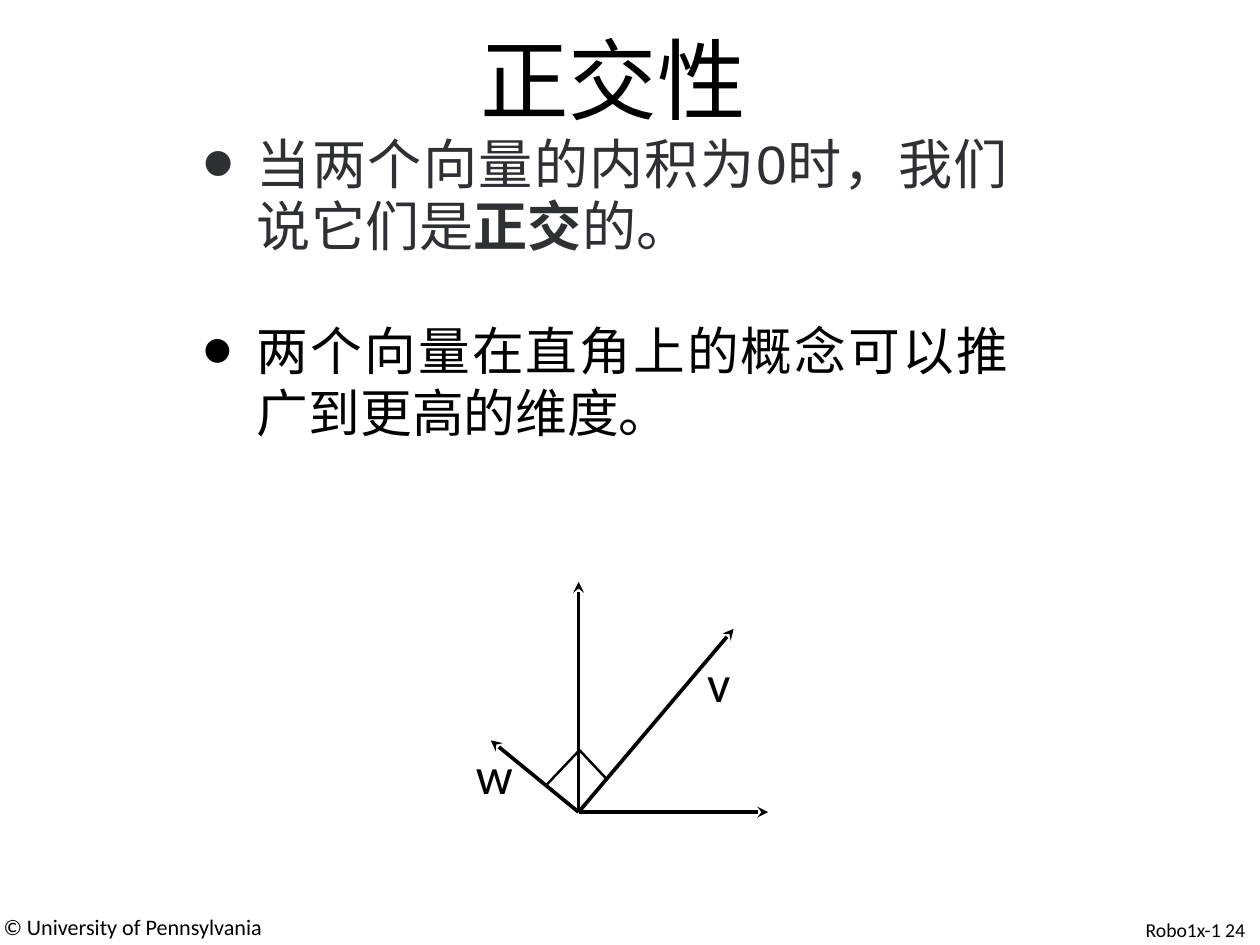
from pptx import Presentation
from pptx.dml.color import RGBColor
from pptx.enum.shapes import MSO_CONNECTOR
from pptx.enum.text import MSO_ANCHOR, MSO_AUTO_SIZE, PP_ALIGN
from pptx.oxml.ns import qn
from pptx.util import Inches, Pt
from lxml.etree import SubElement

THEME = {
    "black": RGBColor(0x00, 0x00, 0x00),
    "grey": RGBColor(0x2E, 0x30, 0x33),
    "title": Pt(72), "lead": Pt(44), "body": Pt(42),
    "footer": Pt(18), "number": Pt(16),
    "arrow": Pt(3), "mark": Pt(2),
}


def set_frame(sp, box):
    """Place a text shape and clear its margins."""
    sp.left, sp.top, sp.width, sp.height = map(Inches, box)
    tf = sp.text_frame
    frame = {"margin_left": 0, "margin_top": 0, "margin_right": 0, "margin_bottom": 0,
             "word_wrap": True, "auto_size": MSO_AUTO_SIZE.NONE,
             "vertical_anchor": MSO_ANCHOR.TOP}
    for name, value in frame.items():
        setattr(tf, name, value)
    return tf


def add_run(p, text, size, color="black", font="Calibri", bold=False):
    r = p.add_run()
    r.text = text
    for name, value in {"size": THEME[size], "name": font, "bold": bold}.items():
        setattr(r.font, name, value)
    r.font.color.rgb = THEME[color]


prs = Presentation()
prs.slide_width, prs.slide_height = Inches(14.22), Inches(10.67)
s = prs.slides.add_slide(prs.slide_layouts[1])

# Title
p = set_frame(s.shapes.title, (1.77, 0.28, 10.3, 1.21)).paragraphs[0]
p.alignment, p.line_spacing = PP_ALIGN.CENTER, Pt(86.2)
add_run(p, "正交性", "title")

# Bullet list
tf = set_frame(s.placeholders[1], (2.26, 1.5, 9.12, 3.51))
bullets = [
    [("当两个向量的内积为0时，我们说它们是", "lead", "grey", "Arial"),
     ("正交", "lead", "grey", "Arial", True),
     ("的。", "lead", "grey", "Arial")],
    [("两个向量在直角上的概念可以推广到更高的维度。", "body")],
]
for i, runs in enumerate(bullets):
    p = tf.add_paragraph() if i else tf.paragraphs[0]
    p.alignment, p.line_spacing = PP_ALIGN.JUSTIFY, Pt(50.4)
    p.space_before = Pt(50.4 * i)
    pPr = p._p.get_or_add_pPr()
    pPr.set("marL", str(Inches(0.64)))
    pPr.set("indent", str(-Inches(0.62)))
    SubElement(pPr, qn("a:buSzPct")).set("val", "170000")
    SubElement(pPr, qn("a:buChar")).set("char", "•")
    for run in runs:
        add_run(p, *run)

# Axes, vectors v and w, and right-angle mark
origin = (6.53, 9.17)
corner = (6.54, 8.47)
lines = [
    (origin, (6.53, 6.57), "arrow"),
    (origin, (8.67, 9.17), "arrow"),
    (origin, (5.54, 8.36), "arrow"),
    (origin, (8.28, 7.1), "arrow"),
    (corner, (6.17, 8.86), "mark"),
    (corner, (6.85, 8.8), "mark"),
]
for start, end, style in lines:
    line = s.shapes.add_connector(MSO_CONNECTOR.STRAIGHT, *map(Inches, start + end))
    line.line.color.rgb = THEME["black"]
    line.line.width = THEME[style]
    if style == "arrow":
        SubElement(line.line._get_or_add_ln(), qn("a:tailEnd")).set("type", "stealth")
    SubElement(line._element.spPr, qn("a:effectLst"))

# Vector labels and footer
labels = [
    ("v", (7.98, 7.35, 0.5, 0.72), "body"),
    ("w", (5.37, 8.39, 0.6, 0.72), "body"),
    ("© University of Pennsylvania", (0.04, 10.31, 3.2, 0.28), "footer"),
    ("Robo1x-1 24", (12.93, 10.36, 1.25, 0.25), "number"),
]
for text, box, size in labels:
    sp = s.shapes.add_textbox(*map(Inches, box))
    add_run(set_frame(sp, box).paragraphs[0], text, size)

prs.save("out.pptx")
